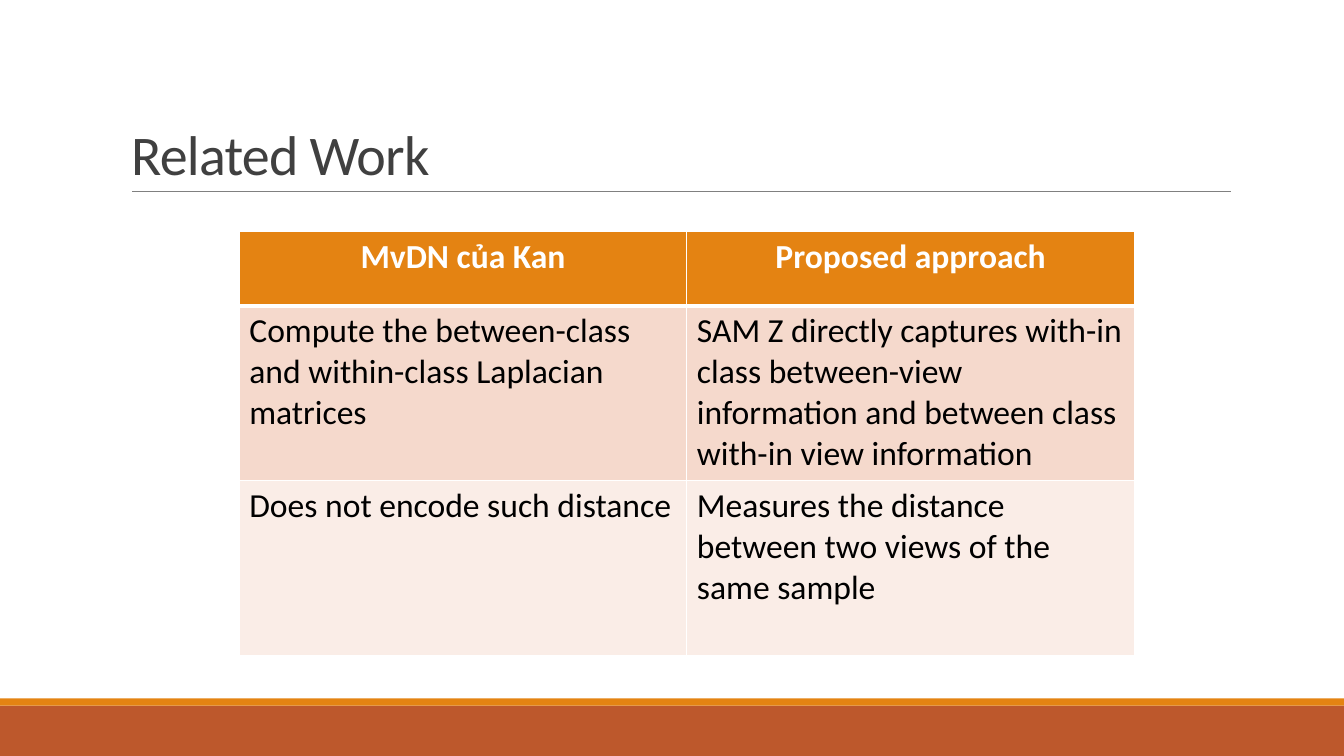
from dataclasses import dataclass

from lxml.etree import SubElement as Sub
from pptx import Presentation
from pptx.dml.color import RGBColor
from pptx.enum.shapes import MSO_CONNECTOR as Link, MSO_SHAPE as Shape
from pptx.enum.text import MSO_ANCHOR as Anchor, MSO_AUTO_SIZE as Fit, PP_ALIGN as Align
from pptx.oxml.ns import qn
from pptx.util import Cm, Pt

FONT = "Calibri"
WHITE = "FFFFFF"
ORANGE = "E48312"


@dataclass
class Band:
    top: float
    height: float
    fill: str


@dataclass
class Row:
    height: float
    fill: str
    color: str
    texts: tuple[str, str]
    head: bool = False


BANDS = [Band(17.78, 1.27, "BD582C"), Band(17.6, 0.18, ORANGE)]
ROWS = [
    Row(1.87, ORANGE, WHITE, ("MvDN của Kan", "Proposed approach"), True),
    Row(4.4, "F5D9CC", "000000", (
        "Compute the between-class and within-class Laplacian matrices",
        "SAM Z directly captures with-in class between-view information "
        "and between class with-in view information")),
    Row(4.4, "FAEDE7", "000000", (
        "Does not encode such distance",
        "Measures the distance between two views of the same sample")),
]


def rgb(code: str) -> RGBColor:
    return RGBColor.from_string(code)


def add_run(para, text: str, size: float, color: str, bold: bool = False):
    run = para.add_run()
    run.text = text
    font = run.font
    font.name, font.size, font.bold = FONT, Pt(size), bold
    font.color.rgb = rgb(color)
    return run


def add_band(slide, band: Band, width: int) -> None:
    shape = slide.shapes.add_shape(
        Shape.RECTANGLE, 0, Cm(band.top), width, Cm(band.height))
    shape.shadow.inherit = False
    shape.fill.solid()
    shape.fill.fore_color.rgb = rgb(band.fill)
    shape.line.fill.background()


def add_rule(slide) -> None:
    rule = slide.shapes.add_connector(
        Link.STRAIGHT, Cm(3.33), Cm(4.82), Cm(31.01), Cm(4.82))
    rule.line.color.rgb = rgb("808080")
    rule.line.width = Pt(0.5)
    Sub(rule.element.spPr, qn("a:effectLst"))


def set_title(slide, text: str) -> None:
    title = slide.shapes.title
    title.left, title.top = Cm(3.05), Cm(0.79)
    title.width, title.height = Cm(27.94), Cm(4.04)
    frame = title.text_frame
    frame.word_wrap, frame.auto_size = True, Fit.NONE
    frame.vertical_anchor = Anchor.BOTTOM
    para = frame.paragraphs[0]
    para.alignment, para.line_spacing = Align.LEFT, 0.85
    run = add_run(para, text, 40, "404040")
    run.font._element.set("spc", "-50")


def add_edges(cell, low: float) -> None:
    props = cell._tc.get_or_add_tcPr()
    for side, width in (("L", 1), ("R", 1), ("T", 1), ("B", low)):
        edge = Sub(props, qn(f"a:ln{side}"), w=str(Pt(width)))
        Sub(Sub(edge, qn("a:solidFill")), qn("a:srgbClr"), val=WHITE)


def fill_cell(cell, row: Row, text: str, low: float) -> None:
    add_edges(cell, low)
    cell.fill.solid()
    cell.fill.fore_color.rgb = rgb(row.fill)
    para = cell.text_frame.paragraphs[0]
    para.alignment = Align.CENTER if row.head else Align.LEFT
    add_run(para, text, 24, row.color, row.head)


def add_grid(slide, rows: list[Row]) -> None:
    height = sum(row.height for row in rows)
    table = slide.shapes.add_table(
        len(rows), 2, Cm(6.03), Cm(5.84), Cm(22.56), Cm(height)).table
    for line, row in zip(table.rows, rows):
        line.height = Cm(row.height)
        for cell, text in zip(line.cells, row.texts):
            fill_cell(cell, row, text, 3 if row.head else 1)
    # The rule below the header is shared with the row beneath it
    for cell in table.rows[1].cells:
        cell._tc.tcPr.find(qn("a:lnT")).set("w", str(Pt(3)))


def main() -> None:
    deck = Presentation()
    deck.slide_width, deck.slide_height = Cm(33.87), Cm(19.05)
    slide = deck.slides.add_slide(deck.slide_layouts[5])

    # Footer bands and title rule
    for band in BANDS:
        add_band(slide, band, deck.slide_width)
    add_rule(slide)

    # Title and comparison table
    set_title(slide, "Related Work")
    add_grid(slide, ROWS)
    deck.save("out.pptx")


if __name__ == "__main__":
    main()
